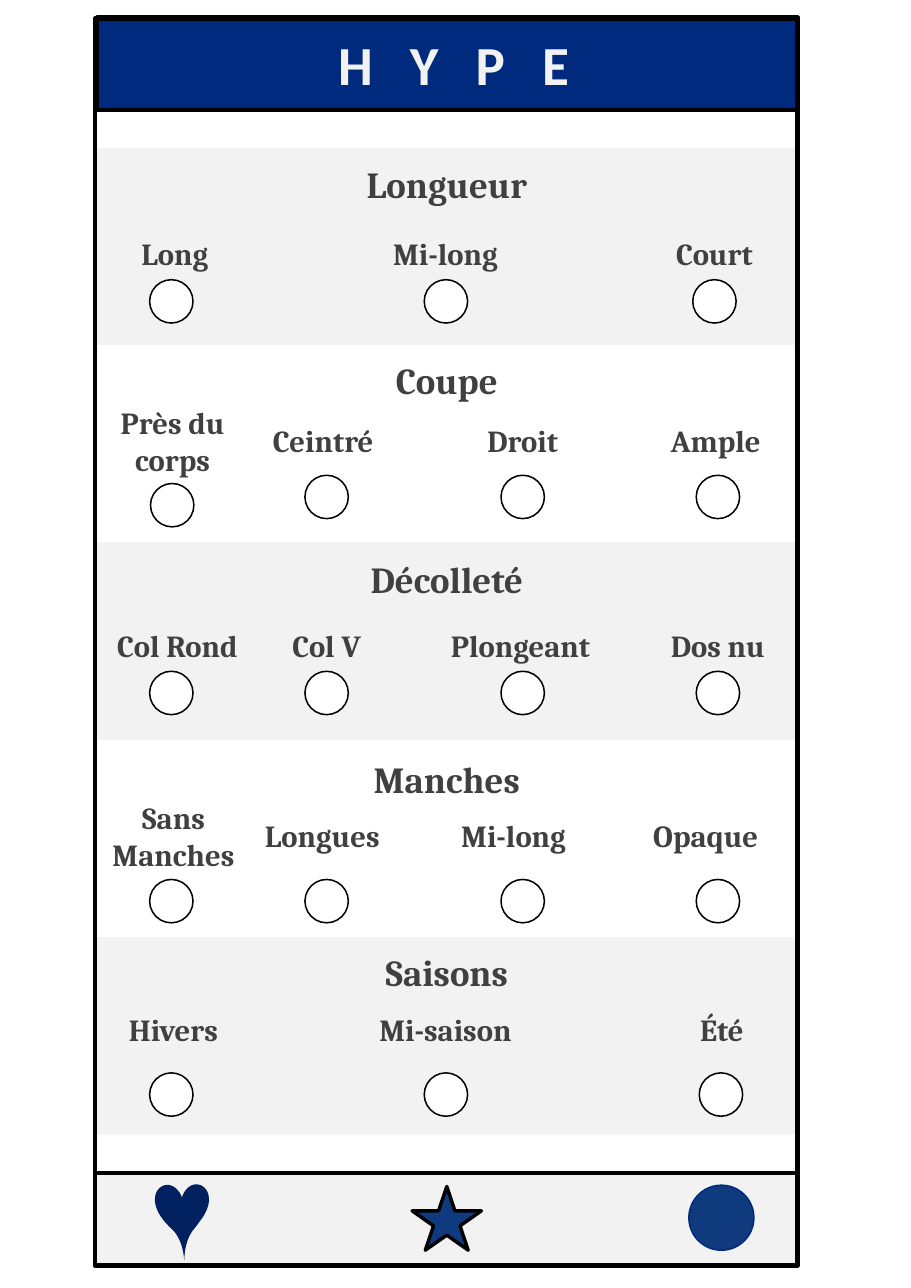
from pptx import Presentation
from pptx.dml.color import RGBColor
from pptx.enum.shapes import MSO_SHAPE as Shape
from pptx.enum.text import MSO_ANCHOR as Anchor, PP_ALIGN as Align
from pptx.util import Cm, Pt

BLACK, WHITE, PALE, GREY = "000000", "FFFFFF", "F2F2F2", "404040"
NAVY, BLUE, DARK = "002A7E", "0F3A7E", "002060"

LEFT, WIDTH = 2.2, 16.15
BAND_TOP, BAND_HEIGHT = 3.41, 4.55
LABEL_HEIGHT, CIRCLE_SIZE = 1.6, 1.0

# Title, title top, label top, circle top,
# options: label, label centre, label width, circle centre
SECTIONS = [
    ("Longueur", 3.45, 5.03, 6.45, [
        ("Long", 4.03, 3.07, 3.95), ("Mi-long", 10.27, 3.07, 10.28),
        ("Court", 16.47, 3.07, 16.47)]),
    ("Coupe", 7.95, 9.36, 10.96, [
        ("Près du corps", 3.98, 3.02, 3.97), ("Ceintré", 7.45, 3.07, 7.53),
        ("Droit", 12.05, 3.73, 12.05), ("Ample", 16.5, 3.73, 16.55)]),
    ("Décolleté", 12.55, 14.08, 15.48, [
        ("Col Rond", 4.09, 3.56, 3.95), ("Col V", 7.53, 3.07, 7.53),
        ("Plongeant", 12, 4.14, 12.05), ("Dos nu", 16.55, 3.73, 16.55)]),
    ("Manches", 17.15, 18.47, 20.28, [
        ("Sans Manches", 4, 3.58, 3.95), ("Longues", 7.43, 3.28, 7.53),
        ("Mi-long", 11.84, 4.78, 12.05), ("Opaque", 16.27, 3.73, 16.55)]),
    ("Saisons", 21.62, 22.94, 24.74, [
        ("Hivers", 4, 3.58, 3.95), ("Mi-saison", 10.27, 3.63, 10.28),
        ("Été", 16.64, 4.78, 16.62)]),
]
# Circles set lower than the rest of their row
CIRCLE_DROPS = {"Près du corps": 0.19}


def colour(value):
    return RGBColor.from_string(value)


def add_figure(shapes, kind, left, top, width, height,
               fill=None, line=None, weight=1):
    figure = shapes.add_shape(kind, Cm(left), Cm(top), Cm(width), Cm(height))
    figure.shadow.inherit = False
    if fill:
        figure.fill.solid()
        figure.fill.fore_color.rgb = colour(fill)
    else:
        figure.fill.background()
    if line:
        figure.line.color.rgb = colour(line)
        figure.line.width = Pt(weight)
    else:
        figure.line.fill.background()
    return figure


def write(box, text, size, font, ink):
    frame = box.text_frame
    frame.text = text
    frame.word_wrap = True
    frame.vertical_anchor = Anchor.MIDDLE
    para = frame.paragraphs[0]
    para.alignment = Align.CENTER
    span = para.runs[0]
    span.font.size = Pt(size)
    span.font.name = font
    span.font.bold = True
    span.font.color.rgb = colour(ink)
    return span


def add_label(page, text, centre, top, width, size):
    box = page.shapes.add_textbox(Cm(centre - width / 2), Cm(top),
                                  Cm(width), Cm(LABEL_HEIGHT))
    write(box, text, size, "Cambria", GREY)


def add_header(page):
    header = add_figure(page.shapes, Shape.RECTANGLE, 2.24, 0.41, WIDTH, 2.13,
                        NAVY, BLACK, 3)
    span = write(header, "H Y P E", 36, "Calibri", PALE)
    # Wide letter spacing; the inset balances the space after the last letter
    span.font._element.set("spc", "810")
    header.text_frame.margin_left = Cm(0.54)


def add_section(page, index, section):
    title, title_top, label_top, circle_top, options = section
    add_figure(page.shapes, Shape.RECTANGLE, LEFT,
               BAND_TOP + index * BAND_HEIGHT, WIDTH, BAND_HEIGHT,
               WHITE if index % 2 else PALE)
    add_label(page, title, 10.3, title_top, WIDTH, 24)
    for text, centre, width, circle_centre in options:
        add_label(page, text, centre, label_top, width, 20)
        add_figure(page.shapes, Shape.OVAL, circle_centre - CIRCLE_SIZE / 2,
                   circle_top + CIRCLE_DROPS.get(text, 0),
                   CIRCLE_SIZE, CIRCLE_SIZE, WHITE, BLACK)


def add_footer(page):
    add_figure(page.shapes, Shape.RECTANGLE, 2.19, 27.05, 16.2, 2.13,
               PALE, BLACK, 2.25)
    # Heart with a pointed tail
    heart = page.shapes.add_group_shape()
    tail = add_figure(heart.shapes, Shape.TEAR, 3.81, 27.61, 0.81, 0.81, DARK)
    tail.adjustments[0] = 1.826
    tail.rotation = 133.2
    lobes = add_figure(heart.shapes, Shape.HEART, 3.58, 27.3, 1.24, 1.24, DARK)
    lobes.rotation = 358.9
    # Star and disc
    add_figure(page.shapes, Shape.STAR_5_POINT, 9.5, 27.36, 1.6, 1.47,
               BLUE, BLACK, 2.25)
    add_figure(page.shapes, Shape.OVAL, 15.88, 27.33, 1.5, 1.5, BLUE, NAVY)


def main():
    deck = Presentation()
    deck.slide_width, deck.slide_height = Cm(21), Cm(29.7)
    page = deck.slides.add_slide(deck.slide_layouts[6])
    add_header(page)
    add_footer(page)
    for index, section in enumerate(SECTIONS):
        add_section(page, index, section)
    # Outer frame
    add_figure(page.shapes, Shape.RECTANGLE, 2.19, 0.43, 16.2, 28.75,
               line=BLACK, weight=3)
    deck.save("out.pptx")


if __name__ == "__main__":
    main()
